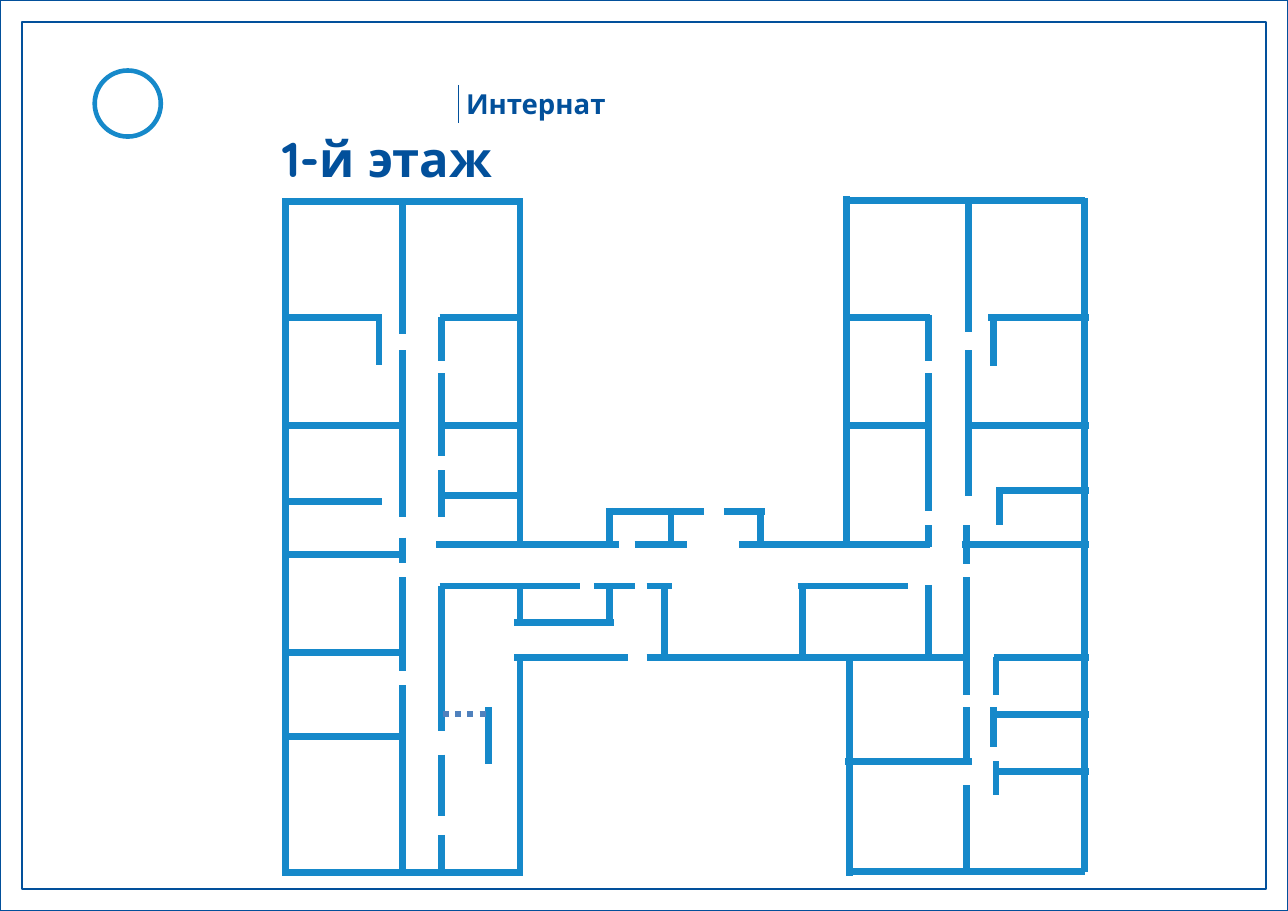
"""Builds the first-floor plan slide of a boarding school."""
from lxml import etree
from pptx import Presentation
from pptx.dml.color import RGBColor
from pptx.enum.dml import MSO_LINE
from pptx.enum.shapes import MSO_CONNECTOR, MSO_SHAPE
from pptx.enum.text import MSO_ANCHOR, MSO_AUTO_SIZE, PP_ALIGN
from pptx.oxml.ns import qn
from pptx.util import Inches, Pt

STRAIGHT = MSO_CONNECTOR.STRAIGHT
RECTANGLE, OVAL = MSO_SHAPE.RECTANGLE, MSO_SHAPE.OVAL
DOTTED = MSO_LINE.ROUND_DOT
NAVY, BLUE, DOT_BLUE = "02509B", "1689CA", "4F81BD"
WIDTH, HEIGHT, MARGIN = 11.69, 8.27, 0.2
TITLE_ONLY = 5

TITLE = ("1-й этаж", 32, (2.56, 1.16, 2.2, 0.55))
BUILDING = ("Интернат", 18, (4.23, 0.78, 2.29, 0.32))
EMBLEM = (0.86, 0.64, 0.6, 0.6)
DIVIDER = (4.16, 0.77, 4.16, 1.12)
CURTAIN = (4.02, 6.48, 4.44, 6.48)

ROWS = {
    1.82: [(7.67, 9.85)],
    1.83: [(2.56, 4.74)],
    2.88: [(2.59, 3.47), (3.99, 4.72), (7.67, 8.44), (8.97, 9.88)],
    3.86: [(2.59, 3.65), (3.99, 4.74), (7.67, 8.44), (8.79, 9.88)],
    4.45: [(9.07, 9.88)],
    4.5: [(3.99, 4.74)],
    4.55: [(2.56, 3.47)],
    4.64: [(5.5, 6.39), (6.57, 6.94)],
    4.94: [(3.96, 5.62), (5.76, 6.24), (6.71, 8.44), (8.73, 9.88)],
    5.03: [(2.56, 3.65)],
    5.32: [(3.99, 5.26), (5.39, 5.76), (5.87, 6.1), (7.24, 8.24)],
    5.65: [(4.67, 5.57)],
    5.92: [(2.56, 3.65)],
    5.97: [(4.67, 5.7), (5.87, 8.79), (9.02, 9.88)],
    6.49: [(9.02, 9.88)],
    6.69: [(2.56, 3.65)],
    6.91: [(7.67, 8.82)],
    7: [(9.02, 9.88)],
    7.91: [(7.69, 9.85)],
    7.92: [(2.56, 4.74)],
}
COLUMNS = {
    2.59: [(1.83, 7.95)],
    3.44: [(2.9, 3.31)],
    3.65: [(1.83, 3.03), (3.18, 4.69), (4.88, 5.11), (5.24, 6.09), (6.22, 7.92)],
    4.01: [(2.88, 3.28), (3.39, 4.14), (4.27, 4.69), (5.32, 6.64), (6.85, 7.41), (7.58, 7.92)],
    4.43: [(6.42, 6.94)],
    4.72: [(1.8, 4.93), (5.32, 5.65), (5.96, 7.95)],
    5.53: [(4.61, 4.94), (5.32, 5.65)],
    6.03: [(5.32, 5.97)],
    6.09: [(4.61, 4.94)],
    6.9: [(4.64, 4.97)],
    7.28: [(5.31, 5.96)],
    7.68: [(1.78, 4.91)],
    7.71: [(5.97, 7.95)],
    8.43: [(2.86, 3.28), (3.39, 4.64), (4.77, 4.97), (5.31, 5.97)],
    8.77: [(4.77, 5.12), (5.24, 5.97), (5.96, 6.31), (6.42, 6.91), (7.13, 7.92)],
    8.79: [(1.8, 3.01), (3.18, 4.5)],
    9.02: [(2.9, 3.32), (6.42, 6.78)],
    9.04: [(5.96, 6.31), (6.91, 7.22)],
    9.07: [(4.42, 4.77)],
    9.84: [(1.8, 7.92)],
}


def rgb(value):
    """Turn a hex string into a colour."""
    return RGBColor.from_string(value)


def add_line(slide, ends, color=BLUE, weight=4.5, dash=None):
    """Draw a straight line between two points."""
    connector = slide.shapes.add_connector(STRAIGHT, *map(Inches, ends))
    connector.line.color.rgb = rgb(color)
    connector.line.width = Pt(weight)
    if dash:
        connector.line.dash_style = dash
    etree.SubElement(connector._element.spPr, qn("a:effectLst"))


def add_outline(slide, kind, box, color, weight):
    """Draw an unfilled preset shape."""
    shape = slide.shapes.add_shape(kind, *map(Inches, box))
    shape.shadow.inherit = False
    shape.fill.background()
    shape.line.color.rgb = rgb(color)
    shape.line.width = Pt(weight)


def write_label(shape, text, size, box):
    """Place a shape and write one bold line in it."""
    for name, value in zip(("left", "top", "width", "height"), box):
        setattr(shape, name, Inches(value))
    frame = shape.text_frame
    frame_format = {
        "margin_left": 0, "margin_right": 0, "margin_bottom": 0,
        "margin_top": Inches(0.01), "word_wrap": True,
        "vertical_anchor": MSO_ANCHOR.TOP, "auto_size": MSO_AUTO_SIZE.NONE,
    }
    for name, value in frame_format.items():
        setattr(frame, name, value)
    paragraph = frame.paragraphs[0]
    paragraph.alignment = PP_ALIGN.LEFT
    run = paragraph.add_run()
    run.text = text
    for name, value in {"name": "Quicksand", "size": Pt(size), "bold": True}.items():
        setattr(run.font, name, value)
    run.font.color.rgb = rgb(NAVY)


def main():
    """Assemble the slide and save it."""
    presentation = Presentation()
    presentation.slide_width = Inches(WIDTH)
    presentation.slide_height = Inches(HEIGHT)
    slide = presentation.slides.add_slide(presentation.slide_layouts[TITLE_ONLY])

    for inset in (0, MARGIN):
        box = (inset, inset, WIDTH - 2 * inset, HEIGHT - 2 * inset)
        add_outline(slide, RECTANGLE, box, NAVY, 1)
    add_outline(slide, OVAL, EMBLEM, BLUE, 3)
    add_line(slide, DIVIDER, NAVY, 1)

    write_label(slide.shapes.title, *TITLE)
    write_label(slide.shapes.add_textbox(0, 0, 0, 0), *BUILDING)

    for y, spans in ROWS.items():
        for start, end in spans:
            add_line(slide, (start, y, end, y))
    for x, spans in COLUMNS.items():
        for start, end in spans:
            add_line(slide, (x, start, x, end))
    add_line(slide, CURTAIN, DOT_BLUE, 4, DOTTED)

    presentation.save("out.pptx")


if __name__ == "__main__":
    main()
